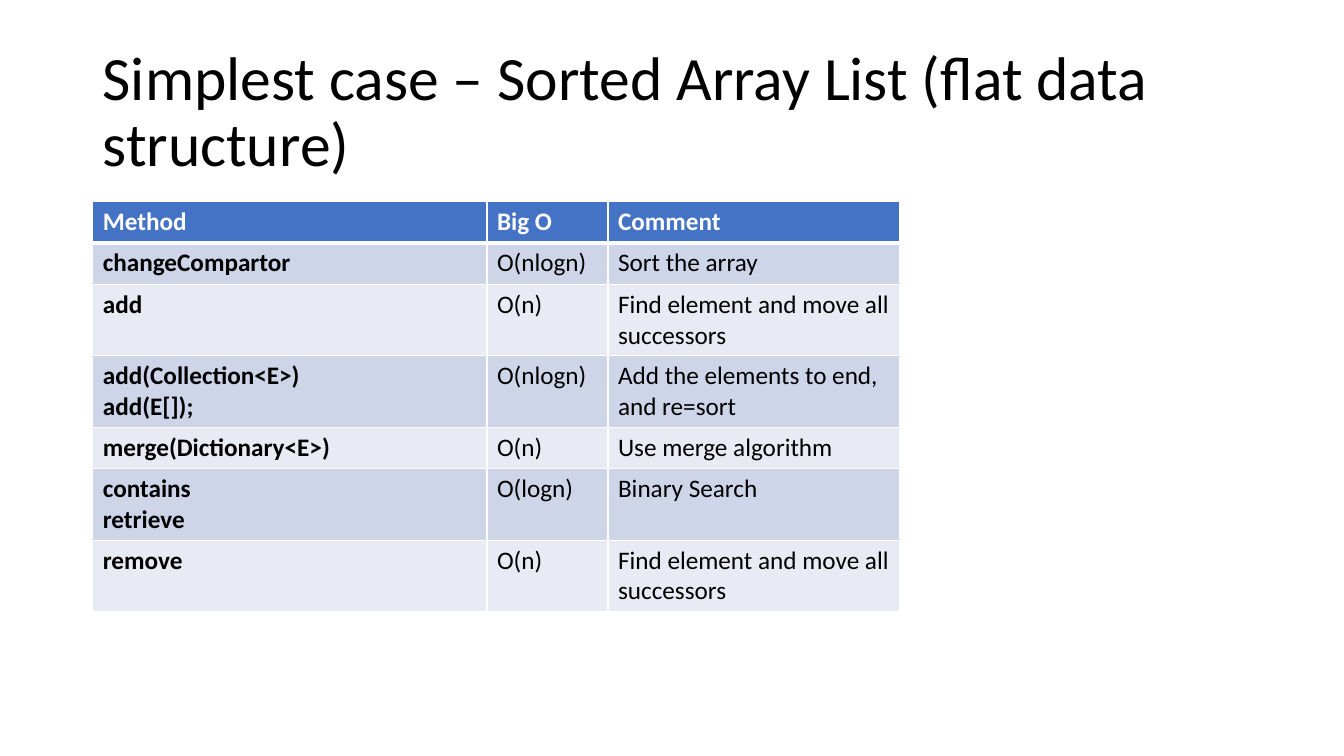
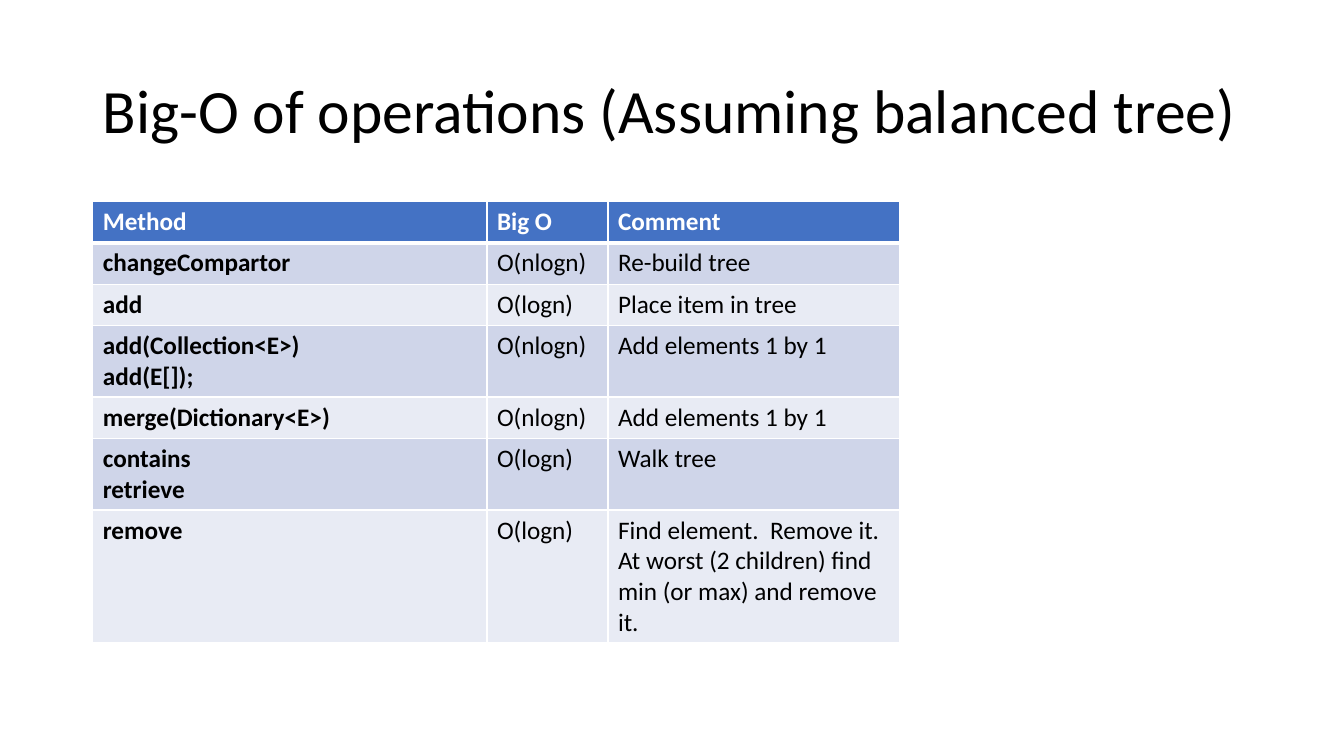
"""Build two slides that compare the cost of dictionary operations."""
import pptx
import pptx.dml.color
import pptx.enum.text
import pptx.oxml
import pptx.oxml.ns
import pptx.util

Inches = pptx.util.Inches
Pt = pptx.util.Pt

COLORS = {
    "text": "000000",
    "white": "FFFFFF",
    "header": "4472C4",
    "band_dark": "CFD5E9",
    "band_light": "E8EBF4",
}
HEADER = ("Method", "Big O", "Comment")
METHODS = (
    "changeCompartor",
    "add",
    "add(Collection<E>)\nadd(E[]);",
    "merge(Dictionary<E>)",
    "contains\nretrieve",
    "remove",
)
SLIDES = (
    (
        "Simplest case – Sorted Array List (flat data structure)",
        (
            ("O(nlogn)", "Sort the array", 1),
            ("O(n)", "Find element and move all successors", 2),
            ("O(nlogn)", "Add the elements to end, and re=sort", 2),
            ("O(n)", "Use merge algorithm", 1),
            ("O(logn)", "Binary Search", 2),
            ("O(n)", "Find element and move all successors", 2),
        ),
    ),
    (
        "Big-O of operations (Assuming balanced tree)",
        (
            ("O(nlogn)", "Re-build tree", 1),
            ("O(logn)", "Place item in tree", 1),
            ("O(nlogn)", "Add elements 1 by 1", 2),
            ("O(nlogn)", "Add elements 1 by 1", 1),
            ("O(logn)", "Walk tree", 2),
            (
                "O(logn)",
                "Find element.  Remove it.  At worst (2 children) find min (or max) and remove it.",
                4,
            ),
        ),
    ),
)


def rgb(name):
    return pptx.dml.color.RGBColor.from_string(COLORS[name])


class Deck:
    font = "Calibri"
    left = 0.92
    columns = (3.91, 1.2, 2.89)
    cell_padding = 0.1
    line_height = 0.31
    thin, thick = 0.96, 3

    def __init__(self):
        self.prs = pptx.Presentation()
        self.prs.slide_width = Inches(13.33)
        self.prs.slide_height = Inches(7.5)
        self.s = None

    def slide(self):
        self.s = self.prs.slides.add_slide(self.prs.slide_layouts[6])

    def text(self, tf, content, color="text", **formats):
        tf.text = content
        for p in tf.paragraphs:
            for r in p.runs:
                for name, value in {"name": self.font, **formats}.items():
                    setattr(r.font, name, value)
                r.font.color.rgb = rgb(color)

    def title(self, content):
        sp = self.s.shapes.add_textbox(
            Inches(self.left), Inches(0.4), Inches(11.5), Inches(1.45)
        )
        tf = sp.text_frame
        tf.word_wrap = True
        tf.vertical_anchor = pptx.enum.text.MSO_ANCHOR.MIDDLE
        self.text(tf, content, size=Pt(44))
        tf.paragraphs[0].line_spacing = 0.9

    def borders(self, cell, top, bottom):
        widths = {"lnL": self.thin, "lnR": self.thin, "lnT": top, "lnB": bottom}
        tc_pr = cell._tc.get_or_add_tcPr()
        for i, (side, width) in enumerate(widths.items()):
            tc_pr.insert(i, pptx.oxml.parse_xml(
                f'<a:{side} {pptx.oxml.ns.nsdecls("a")} w="{Pt(width)}">'
                f'<a:solidFill><a:srgbClr val="{COLORS["white"]}"/></a:solidFill>'
                f'</a:{side}>'
            ))

    def table(self, rows, line_counts):
        heights = [
            round(self.cell_padding + n * self.line_height - 0.01 * (n // 2), 2)
            for n in line_counts
        ]
        table = self.s.shapes.add_table(
            len(rows), len(self.columns), Inches(self.left), Inches(2),
            Inches(sum(self.columns)), Inches(sum(heights)),
        ).table
        table.horz_banding = False
        for column, width in zip(table.columns, self.columns):
            column.width = Inches(width)
        for i, (row, height) in enumerate(zip(rows, heights)):
            table.rows[i].height = Inches(height)
            band = "band_dark" if i % 2 else "band_light"
            for j, content in enumerate(row):
                cell = table.cell(i, j)
                cell.fill.solid()
                cell.fill.fore_color.rgb = rgb(band if i else "header")
                self.text(
                    cell.text_frame, content, "text" if i else "white",
                    size=Pt(18), bold=i == 0 or j == 0,
                )
                self.borders(
                    cell,
                    self.thick if i == 1 else self.thin,
                    self.thick if i == 0 else self.thin,
                )


def main():
    deck = Deck()
    for title, costs in SLIDES:
        deck.slide()
        deck.title(title)
        rows = [HEADER]
        line_counts = [1]
        for method, (big_o, comment, lines) in zip(METHODS, costs):
            rows.append((method, big_o, comment))
            line_counts.append(lines)
        deck.table(rows, line_counts)
    deck.prs.save("out.pptx")


if __name__ == "__main__":
    main()
